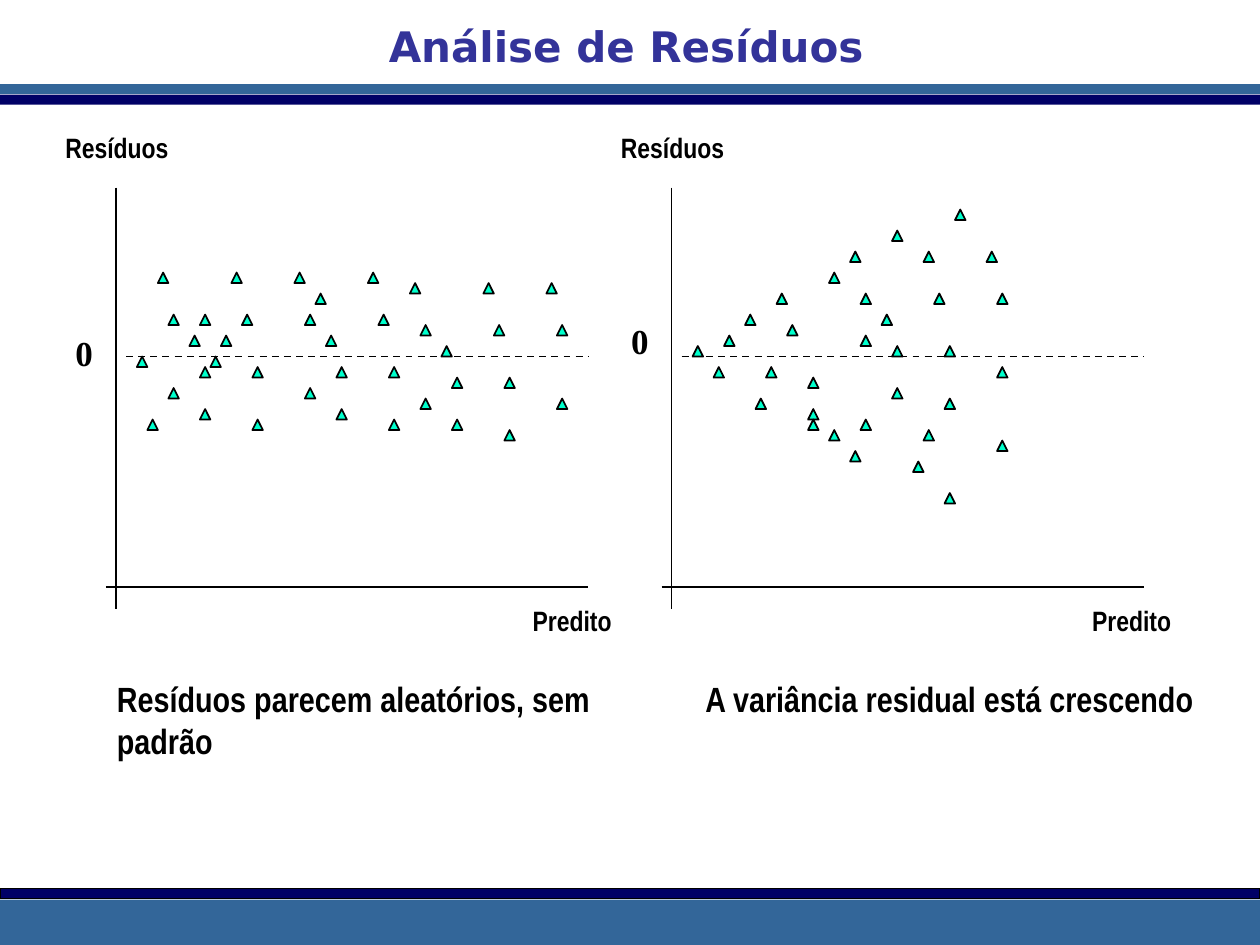
from lxml import etree
from pptx import Presentation
from pptx.dml.color import RGBColor
from pptx.enum import dml, shapes, text
from pptx.oxml import ns
from pptx.util import Inches, Pt

BLACK = RGBColor(0x00, 0x00, 0x00)
WHITE = RGBColor(0xFF, 0xFF, 0xFF)
STEEL = RGBColor(0x33, 0x66, 0x99)
NAVY = RGBColor(0x00, 0x00, 0x66)
INDIGO = RGBColor(0x33, 0x33, 0x99)
AQUA = RGBColor(0x00, 0xFF, 0xCC)

deck = Presentation()
deck.slide_width, deck.slide_height = Inches(10), Inches(7.5)
page = deck.slides.add_slide(deck.slide_layouts[6])


def add_figure(kind, left, top, width, height, fill, line=None, weight=0.75):
    figure = page.shapes.add_shape(
        kind, Inches(left), Inches(top), Inches(width), Inches(height))
    figure.shadow.inherit = False
    figure.fill.solid()
    figure.fill.fore_color.rgb = fill
    if line is None:
        figure.line.fill.background()
    else:
        figure.line.color.rgb = line
        figure.line.width = Pt(weight)


def add_label(words, left, top, width, height, size, font="Arial Narrow", color=BLACK):
    box = page.shapes.add_textbox(
        Inches(left), Inches(top), Inches(width), Inches(height))
    box.text_frame.word_wrap = True
    box.text_frame.text = words
    para = box.text_frame.paragraphs[0]
    span = para.runs[0]
    span.font.name = font
    span.font.size = Pt(size)
    span.font.bold = True
    span.font.color.rgb = color
    return box


# Header and footer bands
for left, top, width, height, fill, line in (
    (0, 0.67, 10, 0.08, STEEL, STEEL),
    (0, 0.75, 10, 0.17, WHITE, WHITE),
    (0, 0.75, 10.03, 0.08, NAVY, None),
    (0, 7.14, 10, 0.36, STEEL, None),
    (0, 7.05, 10, 0.08, NAVY, BLACK),
):
    add_figure(shapes.MSO_SHAPE.RECTANGLE, left, top, width, height, fill, line)

# Title
title = add_label("Análise de Resíduos", 2.98, 0.11, 3.98, 0.5, 24, "DejaVu Sans", INDIGO)
title.text_frame.word_wrap = False
title.text_frame.paragraphs[0].alignment = text.PP_ALIGN.CENTER

# Markers as {steps above the zero line: steps right of the vertical axis}
STEP = 1 / 12
ZERO = 2.83
random_residuals = {
    8: (4, 11, 17, 24), 7: (28, 35, 41), 6: (19,), 4: (5, 8, 12, 18, 25),
    3: (29, 36, 42), 2: (7, 10, 20), 1: (31,), 0: (2, 9),
    -1: (8, 13, 21, 26), -2: (32, 37), -3: (5, 18), -4: (29, 42),
    -5: (8, 21), -6: (3, 13, 26, 32), -7: (37,),
}
growing_residuals = {
    14: (27,), 12: (21,), 10: (17, 24, 30), 8: (15,), 6: (10, 18, 25, 31),
    4: (7, 20), 3: (11,), 2: (5, 18), 1: (2, 21, 26), -1: (4, 9, 31),
    -2: (13,), -3: (21,), -4: (8, 26), -5: (13,), -6: (13, 18),
    -7: (15, 24), -8: (31,), -9: (17,), -10: (23,), -13: (26,),
}

# Two residual plots: axis position, zero label top, x label left and width, markers
for axis, zero_top, name_left, name_width, residuals in (
    (0.92, 2.58, 4.13, 1, random_residuals),
    (5.33, 2.49, 8.57, 0.92, growing_residuals),
):
    # Axes and dashed zero line
    for x1, y1, x2, y2, dashed in (
        (axis, 1.49, axis, 4.83, False),
        (axis - 0.08, 4.66, axis + 3.75, 4.66, False),
        (axis + 0.08, ZERO, axis + 3.75, ZERO, True),
    ):
        rule = page.shapes.add_connector(
            shapes.MSO_CONNECTOR.STRAIGHT, Inches(x1), Inches(y1), Inches(x2), Inches(y2))
        rule.line.color.rgb = BLACK
        rule.line.width = Pt(1)
        if dashed:
            rule.line.dash_style = dml.MSO_LINE.DASH
        etree.SubElement(rule._element.spPr, ns.qn("a:effectLst"))

    # Axis labels
    add_label("Resíduos", axis - 0.5, 0.99, 1.58, 0.37, 16)
    add_label("Predito", name_left, 4.74, name_width, 0.37, 16)
    add_label("0", axis - 0.42, zero_top, 0.42, 0.43, 20, "Times New Roman")

    # Markers
    for height, columns in residuals.items():
        for column in columns:
            add_figure(shapes.MSO_SHAPE.ISOSCELES_TRIANGLE, axis + column * STEP,
                       ZERO - height * STEP, STEP, STEP, AQUA, BLACK, 1)

# Captions
add_label("Resíduos parecem aleatórios, sem padrão", 0.83, 5.33, 4.17, 0.77, 20)
add_label("A variância residual está crescendo", 5.5, 5.33, 4.17, 0.43, 20)

deck.save("out.pptx")
